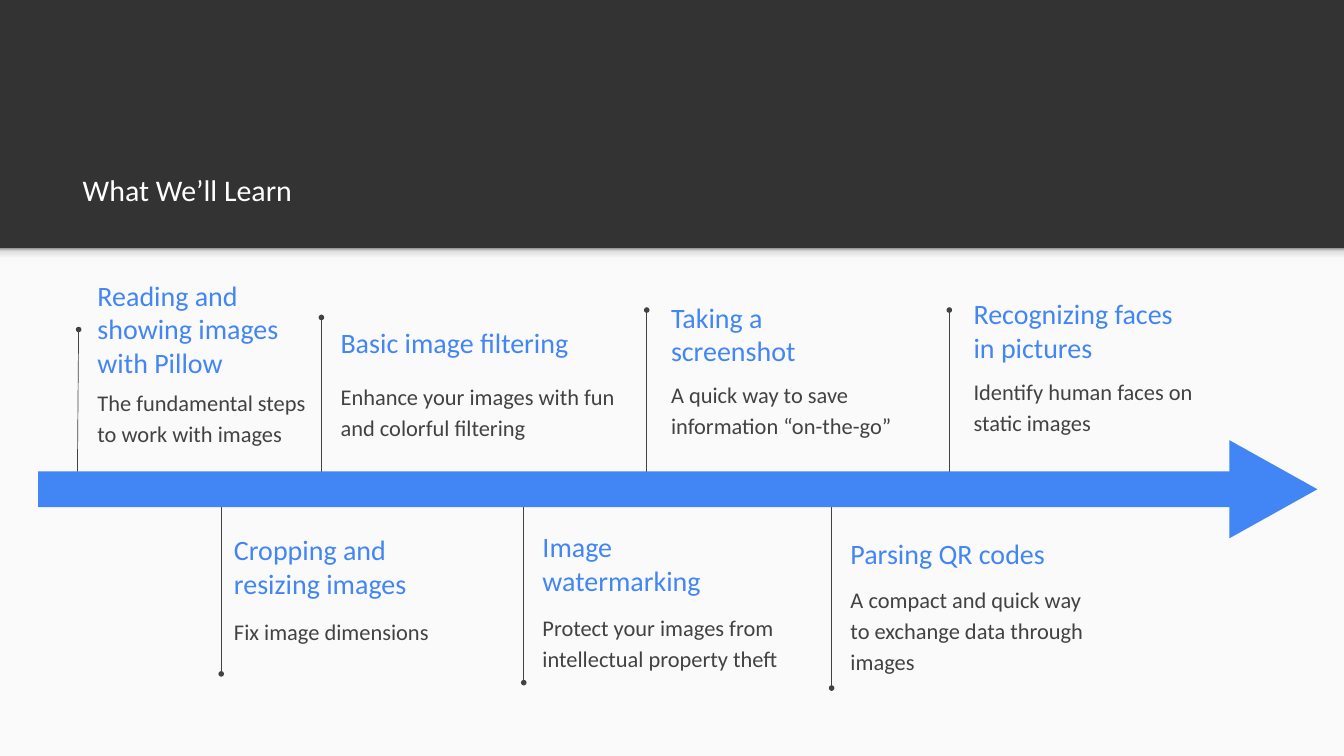
"""Build the "What We'll Learn" timeline slide."""
from dataclasses import dataclass

from lxml import etree
from pptx import Presentation
from pptx.dml.color import RGBColor
from pptx.enum.shapes import MSO_CONNECTOR, MSO_SHAPE
from pptx.enum.text import MSO_ANCHOR
from pptx.oxml.ns import qn
from pptx.shapes.autoshape import Shape
from pptx.slide import Slide
from pptx.util import Pt

RECT = MSO_SHAPE.RECTANGLE
TRIANGLE = MSO_SHAPE.ISOSCELES_TRIANGLE
STRAIGHT = MSO_CONNECTOR.STRAIGHT
TOP, MIDDLE, BOTTOM = MSO_ANCHOR.TOP, MSO_ANCHOR.MIDDLE, MSO_ANCHOR.BOTTOM

DARK = RGBColor(0x33, 0x33, 0x33)
PAPER = RGBColor(0xFA, 0xFA, 0xFA)
BLUE = RGBColor(0x42, 0x85, 0xF4)
GREY = RGBColor(0x42, 0x42, 0x42)
WHITE = RGBColor(0xFF, 0xFF, 0xFF)
SHADOW_STOPS = (
    (0, RGBColor(0xF9, 0xF9, 0xF9)),
    (36, RGBColor(0xF9, 0xF9, 0xF9)),
    (80, RGBColor(0xDE, 0xDE, 0xDE)),
    (100, RGBColor(0x99, 0x99, 0x99)),
)

FONT = "Calibri"
INSET = 14.4
SLIDE_W, SLIDE_H = 1439.28, 809.28
PANEL_TOP = 265.7


@dataclass(frozen=True)
class Box:
    """Position and size in points."""
    x: float
    y: float
    w: float
    h: float


@dataclass(frozen=True)
class Stem:
    """Line from the timeline bar to its dotted tip."""
    x: float
    bar_y: float
    tip_y: float
    lean: float = 0


@dataclass(frozen=True)
class Step:
    """One topic on the timeline."""
    heading: str
    body: str
    x: float
    heading_y: float
    heading_w: float
    body_y: float
    body_w: float
    stem: Stem
    heading_h: float = 61.9
    body_h: float = 91.4


STEPS = (
    Step("Reading and showing images with Pillow",
         "The fundamental steps to work with images",
         90, 306, 229.7, 397.4, 261.4, Stem(82.8, 515.5, 352.8, 1.4), heading_h=91.4),
    Step("Cropping and resizing images", "Fix image dimensions",
         236.2, 575.3, 261.4, 643, 311.8, Stem(236.9, 542.2, 721.4)),
    Step("Basic image filtering",
         "Enhance your images with fun and colorful filtering",
         350.3, 335.5, 277.9, 391, 329.8, Stem(344.2, 522, 339.8), body_h=105.1),
    Step("Image watermarking",
         "Protect your images from intellectual property theft",
         566.6, 572.4, 261.4, 638.6, 350.6, Stem(560.9, 519.1, 730.8)),
    Step("Taking a screenshot", "A quick way to save information “on-the-go”",
         704.2, 326.2, 206.6, 389.5, 294.5, Stem(692.6, 514, 331.9)),
    Step("Parsing QR codes",
         "A compact and quick way to exchange data through images",
         896.4, 560.9, 350.6, 608.4, 294.5, Stem(890.6, 524.9, 736.6)),
    Step("Recognizing faces\nin pictures", "Identify human faces on static images",
         1028.2, 301, 396, 385.9, 294.5, Stem(1016.6, 514, 331.9), heading_h=105.1),
)


def add_block(s: Slide, kind: MSO_SHAPE, box: Box, color: RGBColor) -> Shape:
    """Add a flat shape without outline."""
    sp = s.shapes.add_shape(kind, Pt(box.x), Pt(box.y), Pt(box.w), Pt(box.h))
    sp.shadow.inherit = False
    sp.line.fill.background()
    sp.fill.solid()
    sp.fill.fore_color.rgb = color
    return sp


def add_panel_shadow(s: Slide) -> None:
    """Add the gradient strip under the dark header."""
    sp = add_block(s, RECT, Box(0, PANEL_TOP, SLIDE_W, 17.3), PAPER)
    sp.fill.gradient()
    sp.fill.gradient_angle = 90
    stops = sp.element.spPr.find(".//" + qn("a:gsLst"))
    for stop in list(stops):
        stops.remove(stop)
    for position, color in SHADOW_STOPS:
        stop = etree.SubElement(stops, qn("a:gs"), pos=str(position * 1000))
        etree.SubElement(stop, qn("a:srgbClr"), val=str(color))


def add_text(s: Slide, text: str, box: Box, size: float, color: RGBColor,
             anchor: MSO_ANCHOR, spacing: float = 1.0) -> None:
    """Add a wrapped text box."""
    tf = s.shapes.add_textbox(Pt(box.x), Pt(box.y), Pt(box.w), Pt(box.h)).text_frame
    tf.word_wrap = True
    tf.vertical_anchor = anchor
    tf.margin_left = tf.margin_right = tf.margin_top = tf.margin_bottom = Pt(INSET)
    tf.text = text
    for p in tf.paragraphs:
        p.line_spacing = spacing
        p.font.name = FONT
        p.font.size = Pt(size)
        p.font.color.rgb = color


def add_stem(s: Slide, stem: Stem) -> None:
    """Add a thin line that ends in a dot."""
    line = s.shapes.add_connector(STRAIGHT, Pt(stem.x), Pt(stem.bar_y),
                                  Pt(stem.x + stem.lean), Pt(stem.tip_y))
    line.line.color.rgb = GREY
    line.line.width = Pt(0.75)
    spPr = line.element.spPr
    etree.SubElement(spPr.find(qn("a:ln")), qn("a:tailEnd"), type="oval")
    etree.SubElement(spPr, qn("a:effectLst"))


def add_step(s: Slide, step: Step) -> None:
    """Add the stem, heading and body of a topic."""
    add_stem(s, step.stem)
    add_text(s, step.heading, Box(step.x, step.heading_y, step.heading_w, step.heading_h),
             30, BLUE, MIDDLE)
    add_text(s, step.body, Box(step.x, step.body_y, step.body_w, step.body_h),
             24, GREY, TOP, 1.15)


def main() -> None:
    """Build and save the slide."""
    prs = Presentation()
    prs.slide_width, prs.slide_height = Pt(SLIDE_W), Pt(SLIDE_H)
    s = prs.slides.add_slide(prs.slide_layouts[6])
    s.background.fill.solid()
    s.background.fill.fore_color.rgb = DARK

    add_block(s, RECT, Box(0, PANEL_TOP, SLIDE_W, SLIDE_H - PANEL_TOP), PAPER)
    add_panel_shadow(s)
    add_text(s, "What We’ll Learn", Box(74.2, 115.9, 1294.6, 121), 32, WHITE, BOTTOM)
    for step in STEPS:
        add_step(s, step)

    arrowhead = add_block(s, TRIANGLE, Box(1311.1, 476.6, 105.1, 94.3), BLUE)
    arrowhead.rotation = 90
    add_block(s, RECT, Box(41, 504.7, 1293.1, 38.2), BLUE)
    prs.save("out.pptx")


if __name__ == "__main__":
    main()
